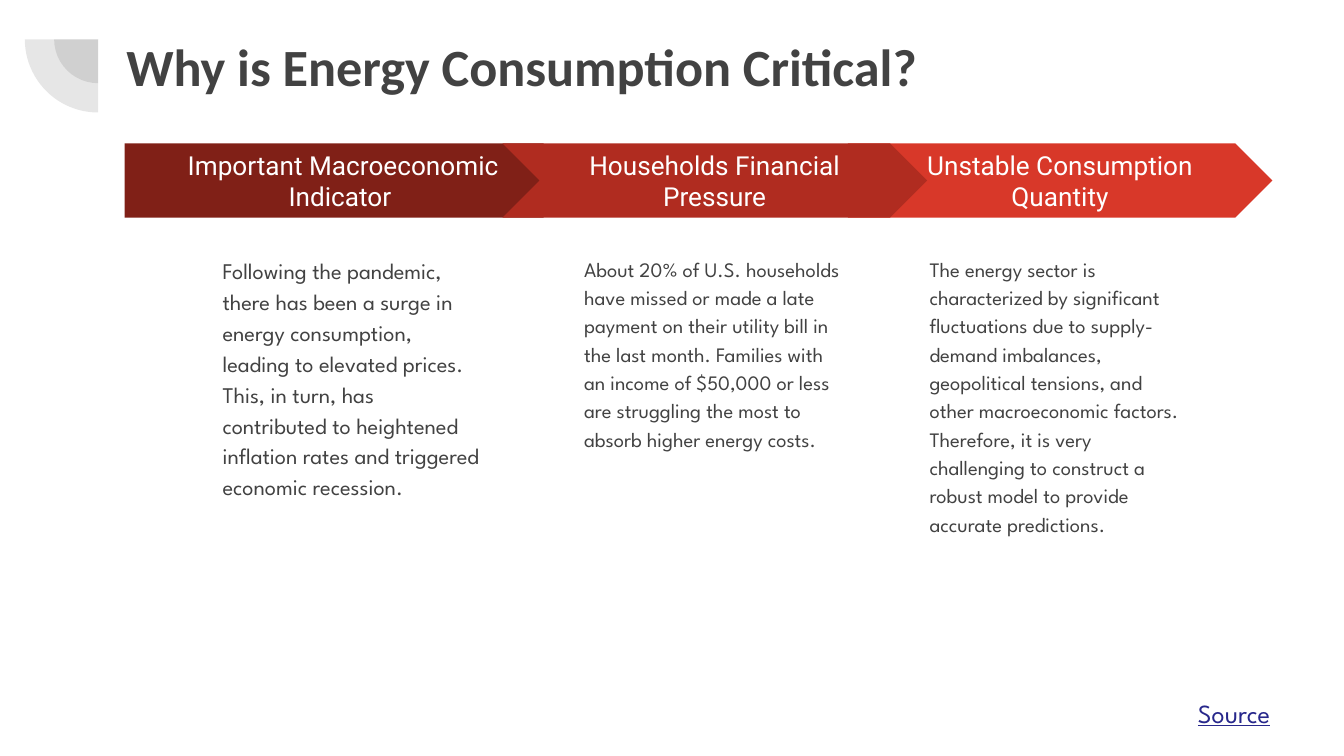
from collections import namedtuple
from dataclasses import dataclass

from lxml import etree
from pptx import Presentation
from pptx import util as u
from pptx.dml.color import RGBColor
from pptx.enum import shapes, text
from pptx.oxml.ns import qn

Box = namedtuple("Box", "left top width height")
Stage = namedtuple("Stage", "heading body color size outline left width indent space_after")


@dataclass(frozen=True)
class Theme:
    ink: str = "424242"
    white: str = "FFFFFF"
    link: str = "27278B"
    stages: tuple = ("802017", "B02C20", "D83829")
    title_font: str = "Calibri"
    heading_font: str = "Roboto"
    body_font: str = "League Spartan"
    title_size: int = 28
    heading_size: int = 14
    body_sizes: tuple = (12, 11, 11)
    ornament_alpha: int = 13


THEME = Theme()
CELL = u.Inches(0.1)
COLUMNS, ROWS = 100, 56.25


def cells(box):
    return [round(value * CELL) for value in box]


def style(paragraph, font_name, size, color, bold=False):
    font = paragraph.font
    font.name, font.size, font.bold = font_name, u.Pt(size), bold
    font.color.rgb = RGBColor.from_string(color)


def prepare_frame(frame, anchor=text.MSO_ANCHOR.TOP):
    frame.word_wrap = True
    frame.auto_size = text.MSO_AUTO_SIZE.NONE
    frame.vertical_anchor = anchor
    frame.margin_left = frame.margin_right = CELL
    frame.margin_top = frame.margin_bottom = CELL


def add_filled_shape(slide, outline, box, color):
    shape = slide.shapes.add_shape(outline, *cells(box))
    shape.shadow.inherit = False
    shape.fill.solid()
    shape.fill.fore_color.rgb = RGBColor.from_string(color)
    shape.line.fill.background()
    return shape


def add_text(slide, box, wording, size, color):
    frame = slide.shapes.add_textbox(*cells(box)).text_frame
    prepare_frame(frame)
    paragraph = frame.paragraphs[0]
    paragraph.text = wording
    style(paragraph, THEME.body_font, size, color)
    return paragraph


def add_ornament(slide, box):
    center_x, center_y = box.left + box.width, box.top
    for share in (0.6, 1):
        radius = box.width * share
        circle = Box(center_x - radius, center_y - radius, 2 * radius, 2 * radius)
        pie = add_filled_shape(slide, shapes.MSO_SHAPE.PIE, circle, THEME.ink)
        pie.rotation = 270
        pie.adjustments[0], pie.adjustments[1] = 108, 162
        color = pie.fill._xPr.find(qn("a:solidFill"))[0]
        etree.SubElement(color, qn("a:alpha")).set("val", str(THEME.ornament_alpha * 1000))


def add_title(slide, box, wording):
    title = slide.shapes.title
    title.left, title.top, title.width, title.height = cells(box)
    frame = title.text_frame
    prepare_frame(frame)
    paragraph = frame.paragraphs[0]
    paragraph.text = wording
    paragraph.alignment = text.PP_ALIGN.LEFT
    style(paragraph, THEME.title_font, THEME.title_size, THEME.ink, bold=True)


def add_stage(slide, box, stage):
    banner_box = Box(box.left + stage.left, box.top, stage.width, 5.54)
    banner = add_filled_shape(slide, stage.outline, banner_box, stage.color)
    banner.adjustments[0] = 0.5
    prepare_frame(banner.text_frame, text.MSO_ANCHOR.MIDDLE)
    heading = banner.text_frame.paragraphs[0]
    heading.text = stage.heading
    heading.alignment = text.PP_ALIGN.CENTER
    style(heading, THEME.heading_font, THEME.heading_size, THEME.white)

    body_box = Box(banner_box.left + stage.indent, box.top + 7.18, 21.3, box.height - 7.18)
    body = add_text(slide, body_box, stage.body, stage.size, THEME.ink)
    body.line_spacing = 1.15
    body.space_after = u.Pt(stage.space_after)


def add_process(slide, box, contents):
    step = 25.7
    stages = []
    for index, (heading, body) in enumerate(contents):
        first = index == 0
        stages.append(Stage(
            heading, body, THEME.stages[index], THEME.body_sizes[index],
            shapes.MSO_SHAPE.PENTAGON if first else shapes.MSO_SHAPE.CHEVRON,
            0 if first else 2.4 + index * step,
            33.9 if first else 31.6,
            6.3 if first else 5.1,
            0 if index == 1 else 12,
        ))
    for index in (2, 0, 1):
        add_stage(slide, box, stages[index])


def add_source(slide, box):
    paragraph = add_text(slide, box, "Source", THEME.heading_size, THEME.link)
    paragraph.font.underline = True


def main():
    presentation = Presentation()
    presentation.slide_width = COLUMNS * CELL
    presentation.slide_height = round(ROWS * CELL)
    slide = presentation.slides.add_slide(presentation.slide_layouts[5])

    add_ornament(slide, Box(1.85, 2.92, 5.45, 5.45))
    add_title(slide, Box(8.4, 1.54, 76.9, 10.9), "Why is Energy Consumption Critical?")
    add_source(slide, Box(88.15, 50.9, 11.8, 3.3))
    add_process(slide, Box(9.28, 10.66, 85.4, 28.9), [
        ("Important Macroeconomic Indicator ",
         "Following the pandemic, there has been a surge in energy consumption, "
         "leading to elevated prices. This, in turn, has contributed to heightened "
         "inflation rates and triggered economic recession."),
        ("Households Financial Pressure",
         "About 20% of U.S. households have missed or made a late payment on their "
         "utility bill in the last month. Families with an income of $50,000 or less "
         "are struggling the most to absorb higher energy costs."),
        ("Unstable Consumption Quantity",
         "The energy sector is characterized by significant fluctuations due to "
         "supply-demand imbalances, geopolitical tensions, and other macroeconomic "
         "factors. Therefore, it is very challenging to construct a robust model to "
         "provide accurate predictions."),
    ])
    presentation.save("out.pptx")


if __name__ == "__main__":
    main()
